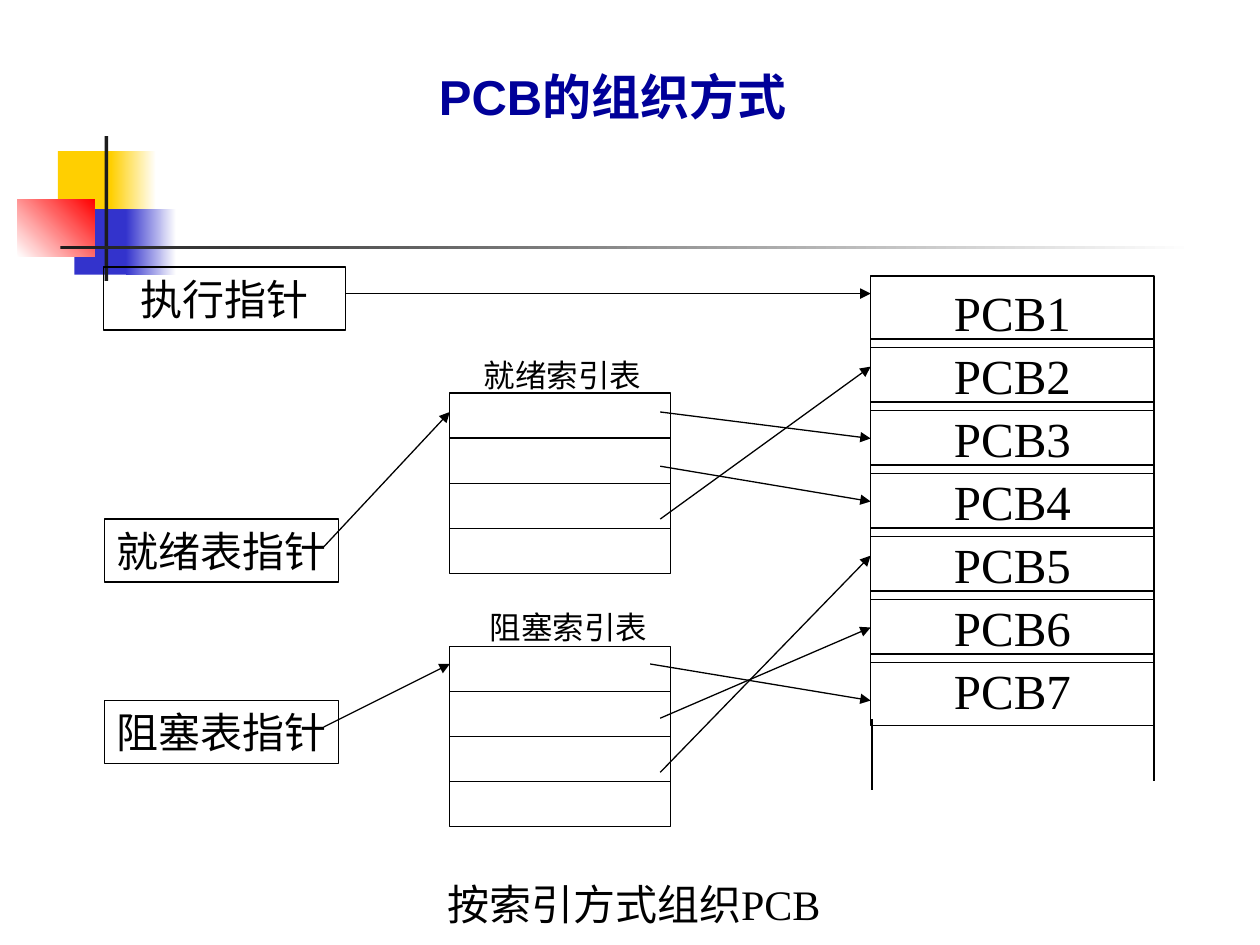
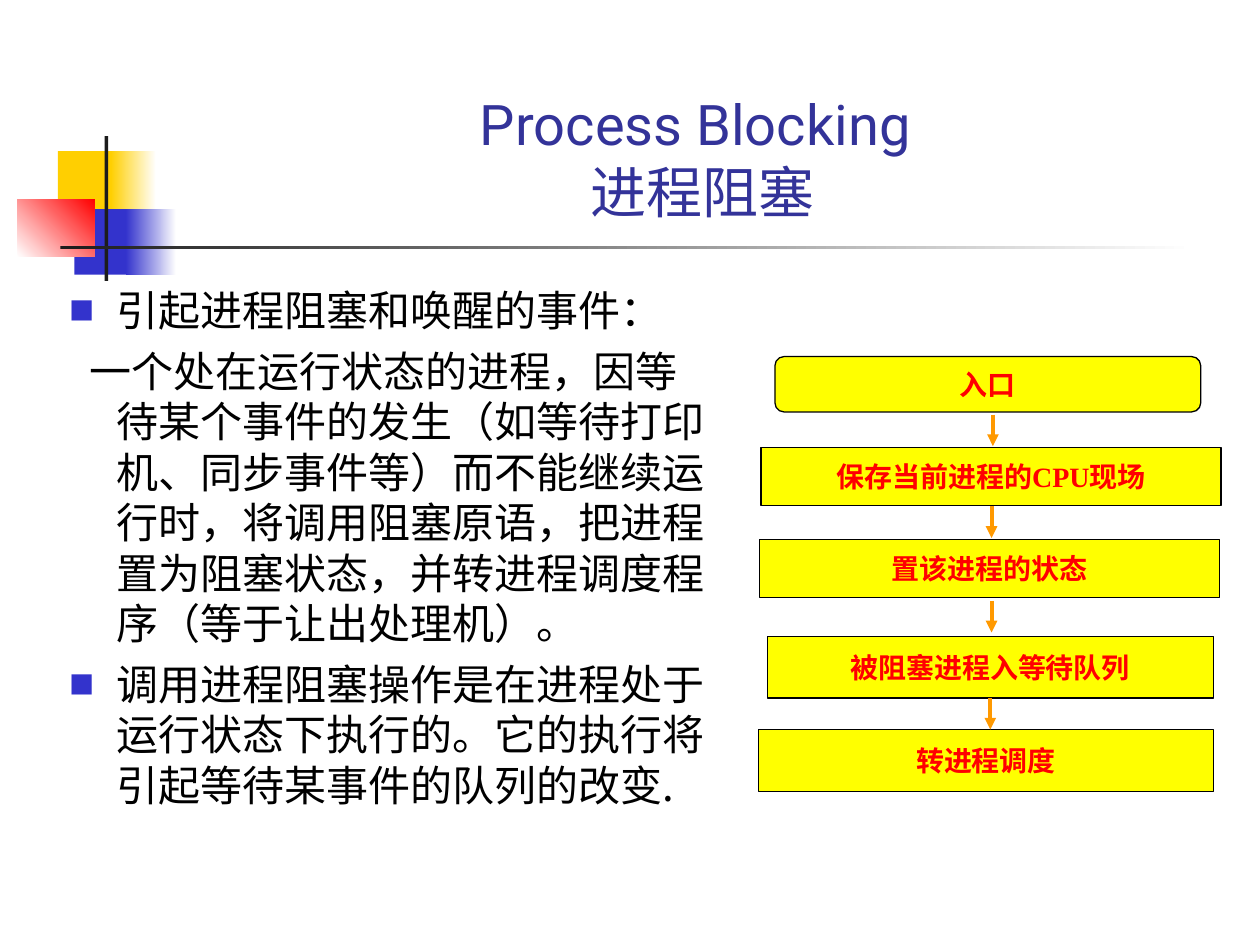
from dataclasses import dataclass
from typing import NamedTuple, Optional

from lxml import etree
from pptx import Presentation
from pptx import util as u
from pptx.dml.color import RGBColor
from pptx.enum import shapes, text
from pptx.oxml import ns


@dataclass(frozen=True)
class Theme:
    ink: str = "000000"
    paper: str = "FFFFFF"
    bar: str = "1C1C1C"
    gold: str = "FFCF01"
    blue: str = "3333CC"
    red: str = "FF0000"
    step: str = "FFFF00"
    arrow: str = "FF9900"
    diagram_title: str = "000099"
    title: str = "333399"
    serif: str = "Times New Roman"
    sans: str = "Arial"
    heading: str = "Roboto"
    chinese: str = "Noto Sans CJK SC"
    title_size: float = 32
    large: float = 28
    body: float = 24
    label: float = 18
    step_size: float = 16
    hairline: float = 0.75
    arrow_line: float = 2.25


THEME = Theme()


class Box(NamedTuple):
    left: float
    top: float
    width: float
    height: float


class Style(NamedTuple):
    size: float
    font: str = THEME.serif
    color: str = THEME.ink
    bold: bool = False
    align: text.PP_ALIGN = text.PP_ALIGN.LEFT
    anchor: text.MSO_ANCHOR = text.MSO_ANCHOR.TOP
    wrap: bool = True


class Ornament(NamedTuple):
    box: Box
    start: str
    end: Optional[str] = None
    angle: float = 0


class Label(NamedTuple):
    box: Box
    words: str


class Link(NamedTuple):
    x1: float
    y1: float
    x2: float
    y2: float


class BodyItem(NamedTuple):
    words: str
    bulleted: bool


CENTER, MIDDLE = text.PP_ALIGN.CENTER, text.MSO_ANCHOR.MIDDLE
RECTANGLE = shapes.MSO_SHAPE.RECTANGLE

ORNAMENTS = [
    Ornament(Box(0.46, 1.2, 0.48, 0.52), THEME.gold),
    Ornament(Box(0.88, 1.2, 0.36, 0.52), THEME.gold, THEME.paper),
    Ornament(Box(0.59, 1.66, 0.46, 0.52), THEME.blue),
    Ornament(Box(1, 1.66, 0.4, 0.52), THEME.blue, THEME.paper),
    Ornament(Box(0.14, 1.58, 0.61, 0.46), THEME.paper, THEME.red, 45),
    Ornament(Box(0.83, 1.08, 0.03, 1.15), THEME.bar),
    Ornament(Box(0.48, 1.95, 9, 0.03), THEME.bar, THEME.paper),
]

# Slide 1: index tables pointing to process control blocks
POINTERS = [
    Label(Box(0.82, 2.12, 1.92, 0.5), "执行指针"),
    Label(Box(0.83, 4.12, 1.86, 0.5), "就绪表指针"),
    Label(Box(0.83, 5.56, 1.86, 0.5), "阻塞表指针"),
]
INDEX_CAPTIONS = [
    Label(Box(3.74, 2.78, 1.45, 0.4), "就绪索引表"),
    Label(Box(3.79, 4.78, 1.45, 0.4), "阻塞索引表"),
]
INDEX_TABLES = [Box(3.57, 3.12, 1.75, 1.43), Box(3.57, 5.13, 1.75, 1.43)]
INDEX_ROWS = 4
PCB_COUNT, PCB_PITCH = 7, 0.5
FIRST_PCB = Box(6.91, 2.19, 2.25, 0.57)
OPEN_SIDES = [Link(6.92, 5.71, 6.92, 6.27), Link(9.16, 5.7, 9.16, 6.2)]
POINTER_LINKS = [
    Link(2.74, 2.33, 6.91, 2.33),
    Link(2.57, 4.34, 3.57, 3.27),
    Link(5.24, 3.27, 6.91, 3.48),
    Link(5.24, 3.7, 6.91, 3.98),
    Link(5.24, 4.12, 6.91, 2.91),
    Link(2.57, 5.77, 3.57, 5.27),
    Link(5.16, 5.27, 6.91, 5.56),
    Link(5.24, 5.7, 6.91, 4.98),
    Link(5.24, 6.13, 6.91, 4.41),
]

# Slide 2: the blocking primitive
BODY = [
    BodyItem("引起进程阻塞和唤醒的事件：", True),
    BodyItem("一个处在运行状态的进程，因等待某个事件的发生（如等待打印机、同步事件等）"
             "而不能继续运行时，将调用阻塞原语，把进程置为阻塞状态，"
             "并转进程调度程序（等于让出处理机）。", False),
    BodyItem("调用进程阻塞操作是在进程处于运行状态下执行的。"
             "它的执行将引起等待某事件的队列的改变.", True),
]
STEPS = [
    Label(Box(6.15, 2.83, 3.38, 0.44), "入口"),
    Label(Box(6.04, 3.55, 3.65, 0.46), "保存当前进程的CPU现场"),
    Label(Box(6.03, 4.28, 3.65, 0.46), "置该进程的状态"),
    Label(Box(6.09, 5.05, 3.54, 0.49), "被阻塞进程入等待队列"),
    Label(Box(6.02, 5.79, 3.61, 0.49), "转进程调度"),
]
STEP_ARROWS = [(7.88, 3.29), (7.87, 4.02), (7.87, 4.77), (7.86, 5.54)]
STEP_ARROW_LENGTH = 0.25


def rgb(color: str) -> RGBColor:
    return RGBColor.from_string(color)


def inches(values: tuple) -> list:
    return [u.Inches(value) for value in values]


def add_xml(parent, tag: str, **attributes: str):
    return etree.SubElement(parent, ns.qn(tag), attributes)


def format_runs(paragraph, style: Style) -> None:
    paragraph.alignment = style.align
    for run in paragraph.runs:
        font = run.font
        font.name, font.size, font.bold = style.font, u.Pt(style.size), style.bold
        font.color.rgb = rgb(style.color)
        add_xml(run._r.get_or_add_rPr(), "a:ea", typeface=THEME.chinese)


def write(shape, words: str, style: Style) -> None:
    frame = shape.text_frame
    frame.text = words
    frame.word_wrap, frame.vertical_anchor = style.wrap, style.anchor
    for paragraph in frame.paragraphs:
        format_runs(paragraph, style)


def add_text(slide, box: Box, words: str, style: Style) -> None:
    write(slide.shapes.add_textbox(*inches(box)), words, style)


def add_box(slide, box: Box, fill: Optional[str] = None, kind=RECTANGLE):
    """Add a black-outlined shape, hollow unless a fill is given."""
    shape = slide.shapes.add_shape(kind, *inches(box))
    shape.shadow.inherit = False
    shape.line.color.rgb = rgb(THEME.ink)
    shape.line.width = u.Pt(THEME.hairline)
    if fill:
        shape.fill.solid()
        shape.fill.fore_color.rgb = rgb(fill)
    else:
        shape.fill.background()
    return shape


def add_line(slide, link: Link, arrow: bool = False, color: str = THEME.ink,
             width: float = THEME.hairline) -> None:
    line = slide.shapes.add_connector(shapes.MSO_CONNECTOR.STRAIGHT, *inches(link))
    line.line.color.rgb = rgb(color)
    line.line.width = u.Pt(width)
    if arrow:
        add_xml(line.line._get_or_add_ln(), "a:tailEnd", type="triangle")
    add_xml(line._element.spPr, "a:effectLst")


def add_ornament(slide, ornament: Ornament) -> None:
    shape = add_box(slide, ornament.box, ornament.start)
    shape.line.fill.background()
    if ornament.end:
        shape.fill.gradient()
        shape.fill.gradient_angle = ornament.angle
        for stop, color in zip(shape.fill.gradient_stops, (ornament.start, ornament.end)):
            stop.color.rgb = rgb(color)


def new_slide(deck):
    slide = deck.slides.add_slide(deck.slide_layouts[6])
    for ornament in ORNAMENTS:
        add_ornament(slide, ornament)
    return slide


def add_index_table(slide, box: Box) -> None:
    add_box(slide, box)
    for row in range(1, INDEX_ROWS):
        y = box.top + row * box.height / INDEX_ROWS
        add_line(slide, Link(box.left, y, box.left + box.width, y))


def build_index_slide(deck) -> None:
    slide = new_slide(deck)
    pointer = Style(THEME.body, wrap=False)
    for box, words in POINTERS:
        centred = words == "执行指针"
        style = pointer._replace(align=CENTER, wrap=True) if centred else pointer
        write(add_box(slide, box), words, style)
    for box, words in INDEX_CAPTIONS:
        add_text(slide, box, words, Style(THEME.label, wrap=False))
    for box in INDEX_TABLES:
        add_index_table(slide, box)
    for number in range(PCB_COUNT):
        box = FIRST_PCB._replace(top=FIRST_PCB.top + number * PCB_PITCH)
        write(add_box(slide, box), f"PCB{number + 1}", Style(THEME.large, align=CENTER))
    for side in OPEN_SIDES:
        add_line(slide, side)
    for link in POINTER_LINKS:
        add_line(slide, link, arrow=True)
    add_text(slide, Box(3.45, 6.92, 3.24, 0.5), "按索引方式组织PCB", pointer)
    add_text(slide, Box(1.1, 0.51, 7.53, 0.5), "PCB的组织方式",
             Style(THEME.large, THEME.sans, THEME.diagram_title, True, CENTER, MIDDLE))


def set_indent(paragraph, bulleted: bool) -> None:
    first_line = -0.38 if bulleted else -0.22
    properties = paragraph._p.get_or_add_pPr()
    properties.set("marL", str(u.Inches(0.38)))
    properties.set("indent", str(u.Inches(first_line)))
    if bulleted:
        add_xml(add_xml(properties, "a:buClr"), "a:srgbClr", val=THEME.blue)
        add_xml(properties, "a:buSzPct", val="60000")
        add_xml(properties, "a:buFont", typeface=THEME.chinese)
        add_xml(properties, "a:buChar", char="■")


def add_body(slide, box: Box) -> None:
    frame = slide.shapes.add_textbox(*inches(box)).text_frame
    frame.word_wrap = True
    for index, item in enumerate(BODY):
        paragraph = frame.add_paragraph() if index else frame.paragraphs[0]
        paragraph.text = item.words
        set_indent(paragraph, item.bulleted)
        if index:
            paragraph.space_before = u.Pt(6)
        format_runs(paragraph, Style(THEME.body, THEME.chinese))


def build_blocking_slide(deck) -> None:
    slide = new_slide(deck)
    add_text(slide, Box(1.26, 0.23, 8.52, 1.6), "Process Blocking\v 进程阻塞",
             Style(THEME.title_size, THEME.heading, THEME.title, align=CENTER,
                   anchor=text.MSO_ANCHOR.BOTTOM))
    add_body(slide, Box(0.45, 2.21, 5.26, 4.5))
    step_style = Style(THEME.step_size, color=THEME.red, bold=True, align=CENTER,
                       anchor=MIDDLE, wrap=False)
    for index, (box, words) in enumerate(STEPS):
        kind = (shapes.MSO_SHAPE.FLOWCHART_PROCESS if index
                else shapes.MSO_SHAPE.FLOWCHART_ALTERNATE_PROCESS)
        write(add_box(slide, box, THEME.step, kind), words, step_style)
    for x, y in STEP_ARROWS:
        add_line(slide, Link(x, y, x, y + STEP_ARROW_LENGTH), True,
                 THEME.arrow, THEME.arrow_line)


def main() -> None:
    deck = Presentation()
    deck.slide_width, deck.slide_height = u.Inches(10), u.Inches(7.5)
    build_index_slide(deck)
    build_blocking_slide(deck)
    deck.save("out.pptx")


if __name__ == "__main__":
    main()
